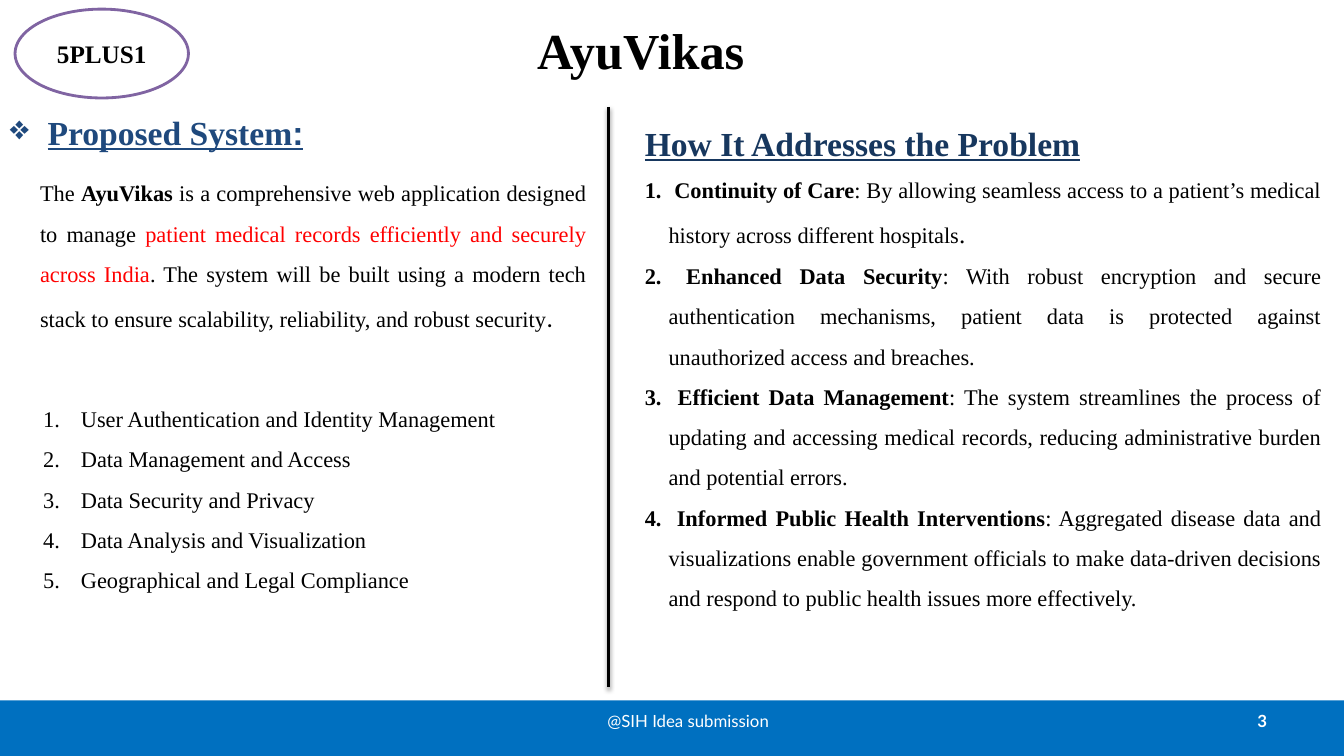
import pptx
import pptx.util
import pptx.oxml
import pptx.oxml.ns
import pptx.dml.color
import pptx.enum.shapes
import pptx.enum.text
from lxml import etree

Cm = pptx.util.Cm
Pt = pptx.util.Pt
RGBColor = pptx.dml.color.RGBColor
Align = pptx.enum.text.PP_ALIGN
Anchor = pptx.enum.text.MSO_ANCHOR
Shapes = pptx.enum.shapes.MSO_SHAPE

BLACK = RGBColor(0x00, 0x00, 0x00)
WHITE = RGBColor(0xFF, 0xFF, 0xFF)
RED = RGBColor(0xFF, 0x00, 0x00)
BAR_BLUE = RGBColor(0x00, 0x70, 0xC0)
HEADING_BLUE = RGBColor(0x1F, 0x49, 0x7D)
DARK_BLUE = RGBColor(0x17, 0x37, 0x5E)
PURPLE = RGBColor(0x80, 0x64, 0xA2)
SERIF = "Times New Roman"
SPACING = 1.5


def add_text_frame(left, top, width, height, anchor=Anchor.TOP):
    box = slide.shapes.add_textbox(Cm(left), Cm(top), Cm(width), Cm(height))
    box.text_frame.word_wrap = True
    box.text_frame.vertical_anchor = anchor
    return box.text_frame


def fill_paragraph(paragraph, runs, align=Align.JUSTIFY, spacing=None, indent=0, bullet=None):
    """Each run is (text, size, colour, bold, underline, font)."""
    paragraph.alignment = align
    paragraph.line_spacing = spacing
    for text, size, colour, bold, underline, font in runs:
        run = paragraph.add_run()
        run.text = text
        run.font.size = Pt(size)
        run.font.color.rgb = colour
        run.font.bold = bold
        run.font.underline = underline
        run.font.name = font
    if bullet:
        properties = paragraph._p.get_or_add_pPr()
        properties.set("marL", str(Cm(indent)))
        properties.set("indent", str(-Cm(indent)))
        numbered = bullet == "arabicPeriod"
        tag, key = ("a:buAutoNum", "type") if numbered else ("a:buChar", "char")
        mark = etree.SubElement(properties, pptx.oxml.ns.qn(tag))
        mark.set(key, bullet)


presentation = pptx.Presentation()
presentation.slide_width = Cm(33.87)
presentation.slide_height = Cm(19.05)
slide = presentation.slides.add_slide(presentation.slide_layouts[6])

# Footer bar with caption and slide number
bar = slide.shapes.add_shape(Shapes.RECTANGLE, Cm(0), Cm(17.65), Cm(33.87), Cm(1.4))
bar.shadow.inherit = False
bar.fill.solid()
bar.fill.fore_color.rgb = BAR_BLUE
bar.line.fill.background()
for text, left, width, align, bold in (
    ("@SIH Idea submission", 12.9, 8.89, Align.CENTER, False),
    ("3", 24.28, 7.9, Align.RIGHT, True),
):
    frame = add_text_frame(left, 17.65, width, 1.02, Anchor.MIDDLE)
    fill_paragraph(frame.paragraphs[0], [(text, 12, WHITE, bold, False, "Lato")], align)

# Title
frame = add_text_frame(0.91, 0.3, 30.48, 1.9, Anchor.MIDDLE)
fill_paragraph(frame.paragraphs[0], [("AyuVikas", 36, BLACK, True, False, SERIF)], Align.CENTER)

# Team badge
badge = slide.shapes.add_shape(Shapes.OVAL, Cm(0.38), Cm(0.23), Cm(4.37), Cm(2.24))
badge.shadow.inherit = False
badge.fill.solid()
badge.fill.fore_color.rgb = WHITE
badge.line.color.rgb = PURPLE
badge.line.width = Pt(2)
badge.text_frame.vertical_anchor = Anchor.MIDDLE
fill_paragraph(badge.text_frame.paragraphs[0],
               [("5PLUS1", 18, BLACK, True, False, SERIF)], Align.CENTER)

# Left column: heading, summary and modules
frame = add_text_frame(0, 2.69, 15, 2.13)
fill_paragraph(frame.paragraphs[0], [
    ("Proposed System", 24, HEADING_BLUE, True, True, SERIF),
    (":", 24, HEADING_BLUE, True, True, "Arial"),
], Align.LEFT, indent=0.95, bullet="❖")

frame = add_text_frame(0.76, 4.06, 14.27, 4.37)
fill_paragraph(frame.paragraphs[0], [
    ("The ", 16, BLACK, False, False, SERIF),
    ("AyuVikas", 16, BLACK, True, False, SERIF),
    (" is a comprehensive web application designed to manage ", 16, BLACK, False, False, SERIF),
    ("patient medical records efficiently and securely across India", 16, RED, False, False, SERIF),
    (". The system will be built using a modern tech stack to ensure scalability, "
     "reliability, and robust security", 16, BLACK, False, False, SERIF),
    (".", 18, BLACK, False, False, "Calibri"),
], spacing=SPACING)

modules = (
    "User Authentication and Identity Management",
    "Data Management and Access",
    "Data Security and Privacy",
    "Data Analysis and Visualization",
    "Geographical and Legal Compliance",
)
frame = add_text_frame(0.84, 9.75, 15.16, 5.26)
for index, module in enumerate(modules):
    paragraph = frame.add_paragraph() if index else frame.paragraphs[0]
    fill_paragraph(paragraph, [(module, 16, BLACK, False, False, SERIF)],
                   spacing=SPACING, indent=0.95, bullet="arabicPeriod")

# Right column: heading and numbered benefits
benefits = (
    ("Continuity of Care",
     ": By allowing seamless access to a patient’s medical history across different hospitals", "."),
    ("Enhanced Data Security",
     ": With robust encryption and secure authentication mechanisms, patient data is "
     "protected against unauthorized access and breaches.", ""),
    ("Efficient Data Management",
     ": The system streamlines the process of updating and accessing medical records, "
     "reducing administrative burden and potential errors.", ""),
    ("Informed Public Health Interventions",
     ": Aggregated disease data and visualizations enable government officials to make "
     "data-driven decisions and respond to public health issues more effectively.", ""),
)
frame = add_text_frame(16, 2.46, 17.55, 13.08)
fill_paragraph(frame.paragraphs[0],
               [("How It Addresses the Problem", 24, DARK_BLUE, True, True, SERIF)],
               spacing=SPACING)
for name, detail, large_stop in benefits:
    runs = [(" " + name, 16, BLACK, True, False, SERIF),
            (detail, 16, BLACK, False, False, SERIF)]
    if large_stop:
        runs.append((large_stop, 18, BLACK, False, False, SERIF))
    fill_paragraph(frame.add_paragraph(), runs, spacing=SPACING,
                   indent=0.6, bullet="arabicPeriod")

# Column divider with a soft shadow
divider = slide.shapes.add_connector(pptx.enum.shapes.MSO_CONNECTOR.STRAIGHT,
                                     Cm(15.34), Cm(2.69), Cm(15.34), Cm(17.32))
divider.line.color.rgb = BLACK
divider.line.width = Pt(2)
divider._element.spPr.append(pptx.oxml.parse_xml(
    f'<a:effectLst {pptx.oxml.ns.nsdecls("a")}>'
    f'<a:outerShdw blurRad="{Pt(3.1)}" dist="{Pt(1.6)}" dir="5400000" rotWithShape="0">'
    '<a:srgbClr val="000000"><a:alpha val="38000"/></a:srgbClr>'
    '</a:outerShdw></a:effectLst>'))

presentation.save("out.pptx")
